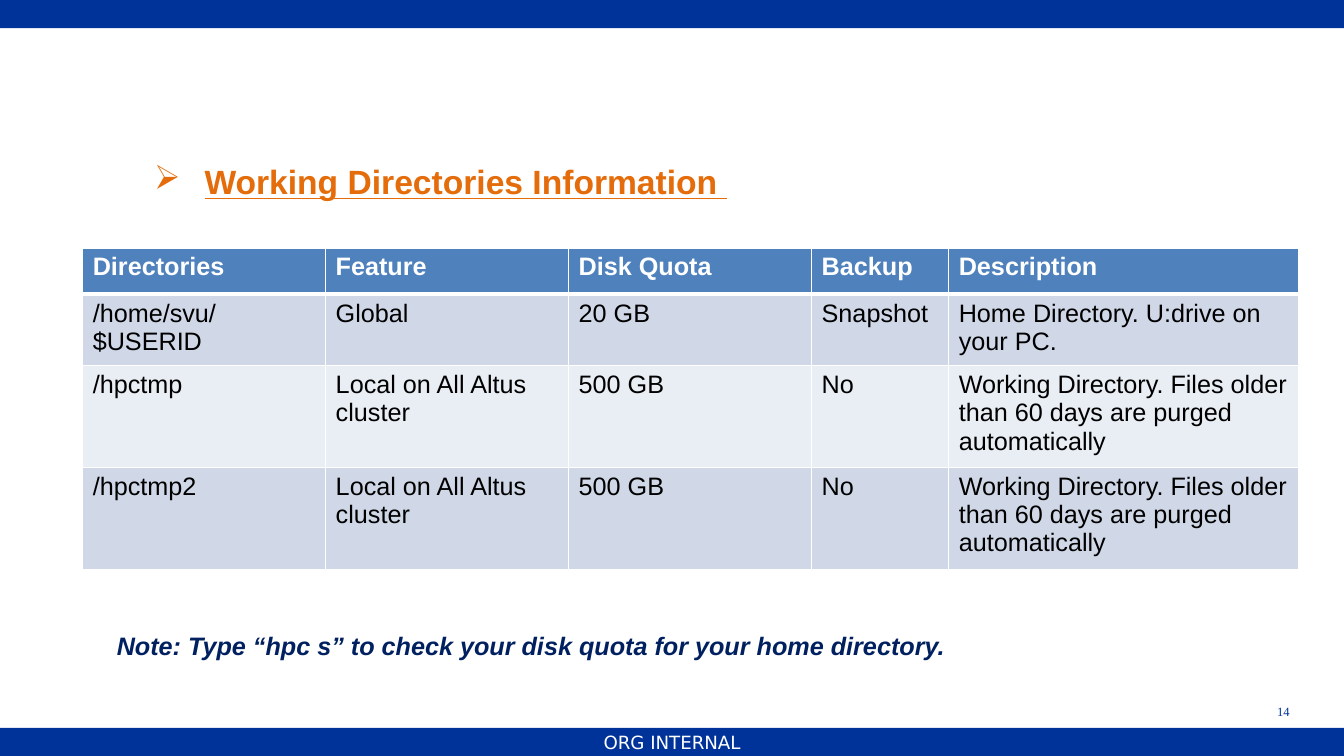
from lxml import etree
from pptx import Presentation
from pptx import util as u
from pptx.dml import color
from pptx.enum import shapes, text
from pptx.oxml import ns

NAVY, WHITE, BLACK = "003399", "FFFFFF", "000000"
HEADER_FILL, BAND_FILLS = "4F81BD", ("D0D8E8", "E9EDF4")
COLUMN_WIDTHS = (2.41, 2.41, 2.41, 1.36, 3.47)
ROW_HEIGHTS = (0.46, 0.71, 1.01, 1.01)
PURGED = "Working Directory. Files older than 60 days are purged automatically"
CLUSTER = "Local on All Altus cluster"
ROWS = (
    ("Directories", "Feature", "Disk Quota", "Backup", "Description"),
    ("/home/svu/$USERID", "Global", "20 GB", "Snapshot",
     "Home Directory. U:drive on your PC."),
    ("/hpctmp", CLUSTER, "500 GB", "No", PURGED),
    ("/hpctmp2", CLUSTER, "500 GB", "No", PURGED),
)


def rgb(value):
    return color.RGBColor.from_string(value)


def format_text(paragraph, size, hex_color, name="Arial", bold=False,
                italic=False, underline=False):
    for run in paragraph.runs:
        font = run.font
        font.size, font.name = u.Pt(size), name
        font.bold, font.italic, font.underline = bold, italic, underline
        font.color.rgb = rgb(hex_color)


def add_bar(slide, top):
    bar = slide.shapes.add_shape(shapes.MSO_SHAPE.RECTANGLE, 0, u.Inches(top),
                                 u.Inches(13.33), u.Inches(0.28))
    bar.shadow.inherit = False
    bar.fill.solid()
    bar.fill.fore_color.rgb = rgb(NAVY)
    bar.line.fill.background()


def add_text(slide, box, content, size, hex_color, align=text.PP_ALIGN.LEFT,
             wrap=True, **style):
    shape = slide.shapes.add_textbox(*(u.Inches(value) for value in box))
    shape.text_frame.word_wrap = wrap
    shape.text_frame.text = content
    paragraph = shape.text_frame.paragraphs[0]
    paragraph.alignment = align
    format_text(paragraph, size, hex_color, **style)
    return paragraph


def add_bullet(paragraph, character, indent):
    properties = paragraph._p.get_or_add_pPr()
    properties.set("marL", str(u.Inches(indent)))
    properties.set("indent", str(-u.Inches(indent)))
    bullet = etree.SubElement(properties, ns.qn("a:buChar"))
    bullet.set("char", character)


def set_borders(cell, bottom_width):
    properties = cell._tc.get_or_add_tcPr()
    widths = {"L": 1, "R": 1, "T": 1, "B": bottom_width}
    for index, (side, width) in enumerate(widths.items()):
        line = etree.Element(ns.qn(f"a:ln{side}"), w=str(u.Pt(width)))
        fill = etree.SubElement(line, ns.qn("a:solidFill"))
        etree.SubElement(fill, ns.qn("a:srgbClr"), val=WHITE)
        properties.insert(index, line)


def add_directory_table(slide):
    frame = slide.shapes.add_table(
        len(ROWS), len(COLUMN_WIDTHS), u.Inches(0.82), u.Inches(2.46),
        u.Inches(sum(COLUMN_WIDTHS)), u.Inches(sum(ROW_HEIGHTS)))
    table = frame.table
    for column, width in zip(table.columns, COLUMN_WIDTHS):
        column.width = u.Inches(width)
    for row_index, (row, height) in enumerate(zip(table.rows, ROW_HEIGHTS)):
        row.height = u.Inches(height)
        header = row_index == 0
        for cell, content in zip(row.cells, ROWS[row_index]):
            cell.text_frame.text = content
            format_text(cell.text_frame.paragraphs[0], 18,
                        WHITE if header else BLACK, bold=header)
            cell.fill.solid()
            cell.fill.fore_color.rgb = rgb(
                HEADER_FILL if header else BAND_FILLS[(row_index - 1) % 2])
            set_borders(cell, 3 if header else 1)


def main():
    presentation = Presentation()
    presentation.slide_width = u.Inches(13.33)
    presentation.slide_height = u.Inches(7.5)
    slide = presentation.slides.add_slide(presentation.slide_layouts[6])

    # Top and bottom bars, footer and slide number
    for top in (7.22, 0):
        add_bar(slide, top)
    add_text(slide, (0, 7.21, 13.33, 0.64), "ORG INTERNAL", 13, WHITE,
             align=text.PP_ALIGN.CENTER, name="DejaVu Sans")
    add_text(slide, (10.11, 6.93, 2.78, 0.31), "14", 9, NAVY,
             align=text.PP_ALIGN.RIGHT, name="Times New Roman")

    # Heading
    heading = add_text(slide, (1.43, 1.55, 6.18, 0.5),
                       "Working Directories Information ", 24, "E46C0A",
                       bold=True, underline=True)
    add_bullet(heading, "➢", 0.5)

    # Directories and the note below them
    add_directory_table(slide)
    add_text(slide, (1.06, 6.2, 8.48, 0.71),
             "Note: Type “hpc s” to check your disk quota for your home directory.",
             18, "002060", wrap=False, bold=True, italic=True)

    presentation.save("out.pptx")


if __name__ == "__main__":
    main()
